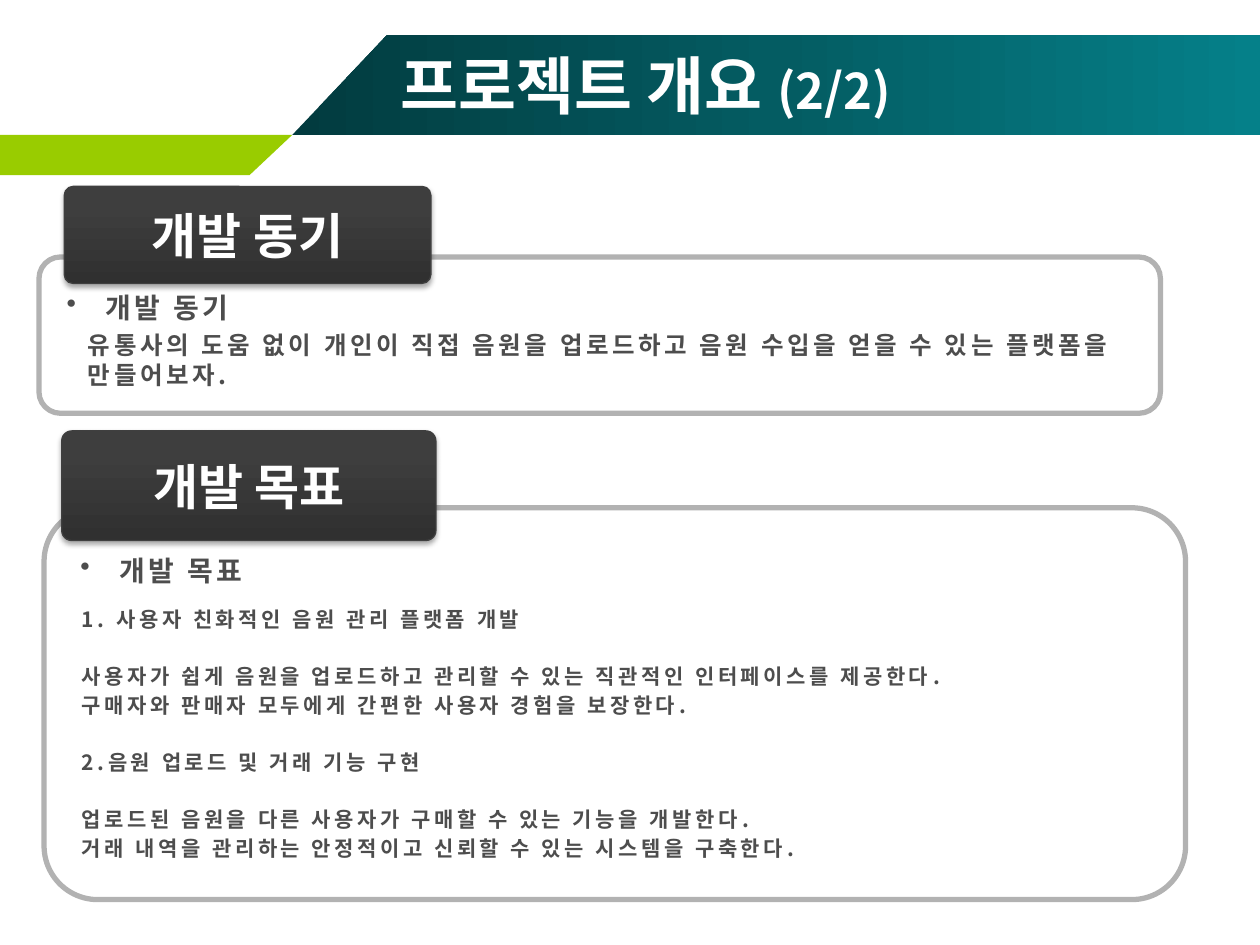
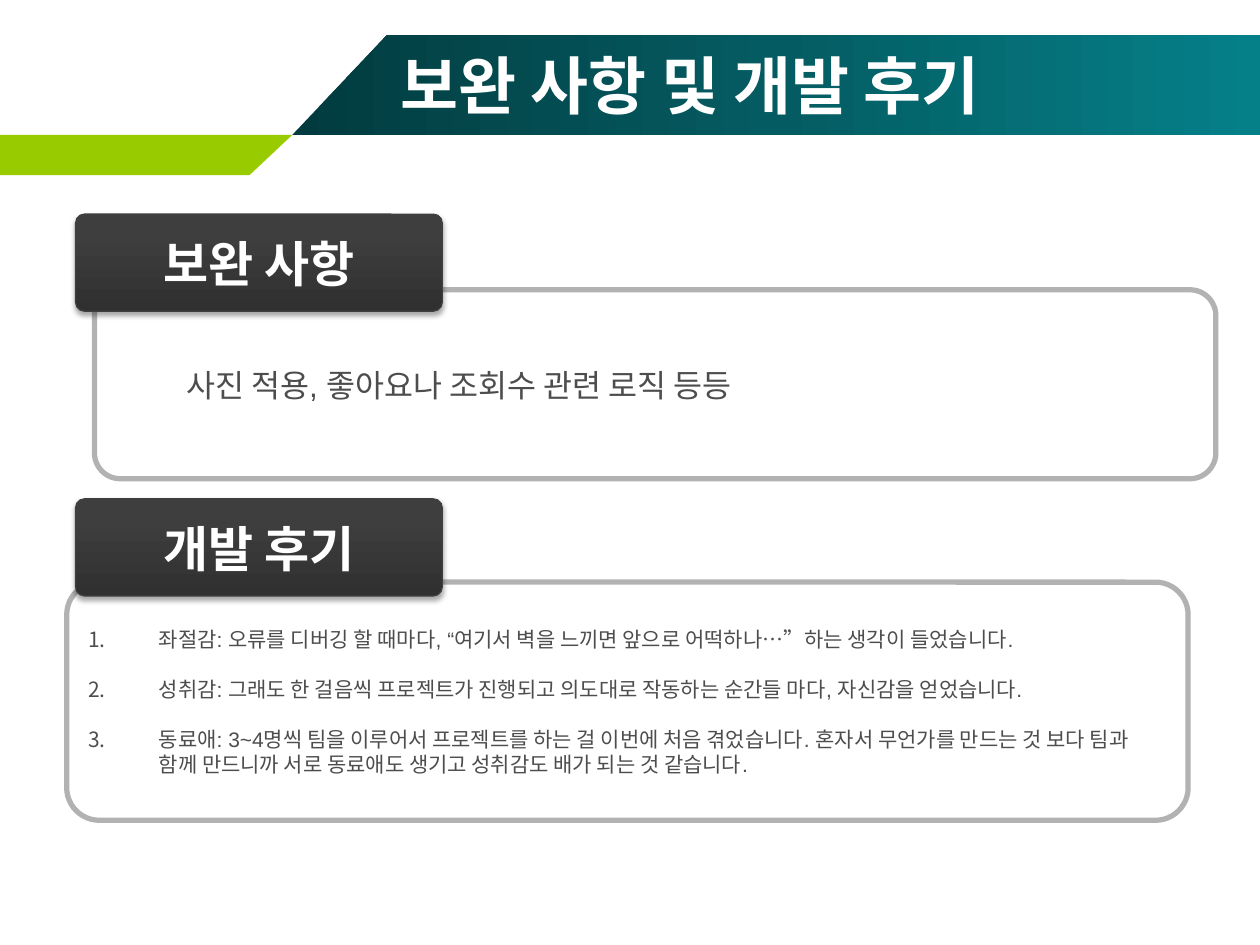
from dataclasses import dataclass
from typing import Any, NamedTuple

import pptx
import pptx.dml.color
import pptx.enum.shapes
import pptx.enum.text
import pptx.oxml
import pptx.oxml.ns
import pptx.util

Inches = pptx.util.Inches
Pt = pptx.util.Pt
qn = pptx.oxml.ns.qn
ANCHOR = pptx.enum.text.MSO_ANCHOR
ALIGN = pptx.enum.text.PP_ALIGN
NAMESPACE = pptx.oxml.ns.nsdecls("a")

COLORS = {
    "white": "FFFFFF", "text": "4D4D4D", "panel line": "B2B2B2", "green": "99CC00",
    "band dark": "023B3F", "band middle": "045C62", "band light": "058089",
    "badge dark": "303030", "badge light": "3E3E3E", "badge line": "3F3F3F", "shadow": "000000",
}
KOREAN_FONT = "Noto Sans CJK KR"
LINE_HEIGHT = 1.22


class Box(NamedTuple):
    left: float
    top: float
    width: float
    height: float

    def lengths(self) -> list[int]:
        return [Inches(value) for value in self]


class Piece(NamedTuple):
    text: str
    size: float


class Line(NamedTuple):
    text: str
    space_before: float = 0


@dataclass(frozen=True)
class TextStyle:
    size: float
    font: str = KOREAN_FONT
    color: str = "text"
    bold: bool = False
    tracking: float = 0
    space_after: float = 0
    indent: float = 0
    bullet: str = "<a:buNone {}/>"


@dataclass(frozen=True)
class Section:
    badge: Box
    panel: Box
    label: str


@dataclass(frozen=True)
class TextBlock:
    box: Box
    lines: list[Line]
    style: TextStyle


DOT = '<a:buChar {} char="•"/>'
NUMBER = '<a:buAutoNum {} type="arabicPeriod"/>'
TITLE = TextStyle(36, color="white", bold=True)
BADGE = TextStyle(28, color="white", bold=True)
HEADING = TextStyle(16, bold=True, tracking=2, indent=0.31, bullet=DOT)
MOTIVE = TextStyle(14, bold=True, tracking=2)
GOAL = TextStyle(12, bold=True, tracking=2, space_after=1.8)
REMARK = TextStyle(18, font="Arial")
REFLECTION = TextStyle(12, font="Arial", indent=0.56, bullet=NUMBER)
GOAL_GAP = 16.2
REFLECTION_GAP = 13.8


# Formatting helpers
def rgb(name: str) -> pptx.dml.color.RGBColor:
    return pptx.dml.color.RGBColor.from_string(COLORS[name])


def set_gradient(shape: Any, stops: list[tuple[int, str]], angle: int) -> None:
    shape.fill.gradient()
    properties = shape.element.spPr
    stop_xml = "".join(
        f'<a:gs pos="{position * 1000}"><a:srgbClr val="{COLORS[color]}"/></a:gs>'
        for position, color in stops
    )
    gradient = pptx.oxml.parse_xml(
        f'<a:gradFill {NAMESPACE} rotWithShape="1"><a:gsLst>{stop_xml}</a:gsLst>'
        f'<a:lin ang="{angle * 60000}" scaled="0"/></a:gradFill>'
    )
    properties.replace(properties.find(qn("a:gradFill")), gradient)


def add_run(paragraph: Any, piece: Piece, style: TextStyle) -> None:
    run = paragraph.add_run()
    run.text = piece.text
    run.font.size = Pt(piece.size)
    run.font.name = style.font
    run.font.bold = style.bold
    run.font.color.rgb = rgb(style.color)
    properties = run._r.get_or_add_rPr()
    if style.tracking:
        properties.set("spc", str(int(style.tracking * 100)))
    properties.append(pptx.oxml.parse_xml(f'<a:ea {NAMESPACE} typeface="{KOREAN_FONT}"/>'))


def write_lines(frame: Any, lines: list[Line], style: TextStyle) -> None:
    frame.word_wrap = True
    frame.auto_size = pptx.enum.text.MSO_AUTO_SIZE.NONE
    for number, line in enumerate(lines):
        paragraph = frame.add_paragraph() if number else frame.paragraphs[0]
        paragraph.alignment = ALIGN.LEFT
        paragraph.line_spacing = Pt(style.size * LINE_HEIGHT)
        paragraph.space_before = Pt(line.space_before)
        paragraph.space_after = Pt(style.space_after)
        properties = paragraph._p.get_or_add_pPr()
        properties.set("marL", str(Inches(style.indent)))
        properties.set("indent", str(-Inches(style.indent)))
        properties.append(pptx.oxml.parse_xml(style.bullet.format(NAMESPACE)))
        add_run(paragraph, Piece(line.text, style.size), style)


# Shared bands, kept on the layout
def add_band(slide: Any, layout: Any, points: list[tuple[float, float]]) -> Any:
    corners = [(Inches(x), Inches(y)) for x, y in points]
    builder = slide.shapes.build_freeform(*corners[0])
    builder.add_line_segments(corners[1:], close=True)
    band = builder.convert_to_shape()
    band.shadow.inherit = False
    band.line.fill.background()
    layout.shapes.element.append(band.element)
    return band


def add_layout_bands(slide: Any, layout: Any) -> None:
    title_band = add_band(slide, layout, [(2.32, 1.07), (10, 1.07), (10, 0.28), (3.07, 0.28)])
    set_gradient(title_band, [(0, "band dark"), (50, "band middle"), (100, "band light")], 0)
    green_band = add_band(slide, layout, [(0, 1.07), (2.32, 1.07), (1.98, 1.39), (0, 1.39)])
    green_band.fill.solid()
    green_band.fill.fore_color.rgb = rgb("green")


# Slide parts
def place(shape: Any, box: Box) -> None:
    shape.left, shape.top, shape.width, shape.height = box.lengths()


def add_title(slide: Any, pieces: list[Piece]) -> None:
    title = slide.shapes.title
    place(title, Box(3.08, 0.36, 6.67, 0.62))
    title.text_frame.vertical_anchor = ANCHOR.MIDDLE
    title.text_frame.auto_size = pptx.enum.text.MSO_AUTO_SIZE.NONE
    paragraph = title.text_frame.paragraphs[0]
    paragraph.alignment = ALIGN.LEFT
    for piece in pieces:
        add_run(paragraph, piece, TITLE)


def add_rounded(slide: Any, box: Box, radius: float, line: str, weight: float) -> Any:
    kind = pptx.enum.shapes.MSO_SHAPE.ROUNDED_RECTANGLE
    shape = slide.shapes.add_shape(kind, *box.lengths())
    shape.adjustments[0] = radius
    shape.shadow.inherit = False
    shape.line.color.rgb = rgb(line)
    shape.line.width = Pt(weight)
    return shape


def add_section(slide: Any, section: Section) -> None:
    panel = add_rounded(slide, section.panel, 0.137, "panel line", 3)
    panel.fill.solid()
    panel.fill.fore_color.rgb = rgb("white")
    panel_color = panel.element.spPr.find(qn("a:solidFill"))[0]
    panel_color.append(pptx.oxml.parse_xml(f'<a:alpha {NAMESPACE} val="31000"/>'))

    badge = add_rounded(slide, section.badge, 0.091, "badge line", 0.75)
    set_gradient(badge, [(0, "badge dark"), (80, "badge light"), (100, "badge light")], 270)
    badge.element.spPr.find(qn("a:effectLst")).append(pptx.oxml.parse_xml(
        f'<a:outerShdw {NAMESPACE} blurRad="{Pt(3.1)}" dist="{Pt(1.8)}" dir="5400000" '
        f'rotWithShape="0"><a:srgbClr val="{COLORS["shadow"]}"><a:alpha val="35000"/>'
        '</a:srgbClr></a:outerShdw>'
    ))
    frame = badge.text_frame
    frame.word_wrap = False
    frame.vertical_anchor = ANCHOR.MIDDLE
    frame.paragraphs[0].alignment = ALIGN.CENTER
    add_run(frame.paragraphs[0], Piece(section.label, BADGE.size), BADGE)


def add_text(slide: Any, block: TextBlock) -> None:
    text_box = slide.shapes.add_textbox(*block.box.lengths())
    write_lines(text_box.text_frame, block.lines, block.style)


def fill_body(slide: Any, block: TextBlock, anchor: Any) -> None:
    body = slide.placeholders[1]
    place(body, block.box)
    body.text_frame.vertical_anchor = anchor
    write_lines(body.text_frame, block.lines, block.style)
    slide.shapes.element.append(body.element)  # in front of its panel


# Slides
def build_overview(slide: Any) -> None:
    add_title(slide, [Piece("프로젝트 개요 ", 36), Piece("(2/2)", 28)])
    add_section(slide, Section(Box(0.49, 3.42, 2.97, 0.87), Box(0.35, 4.03, 9.06, 3.11), "개발 목표"))
    add_section(slide, Section(Box(0.51, 1.48, 2.91, 0.77), Box(0.31, 2.04, 8.9, 1.24), "개발 동기"))
    add_text(slide, TextBlock(Box(0.54, 4.34, 8.82, 0.37), [Line("개발 목표")], HEADING))
    add_text(slide, TextBlock(Box(0.43, 2.25, 8.66, 0.37), [Line("개발 동기")], HEADING))
    add_text(slide, TextBlock(Box(0.6, 2.57, 8.66, 0.57), [
        Line("유통사의 도움 없이 개인이 직접 음원을 업로드하고 음원 수입을 얻을 수 있는 플랫폼을 만들어보자."),
    ], MOTIVE))
    fill_body(slide, TextBlock(Box(0.55, 4.76, 8.66, 2.16), [
        Line("1. 사용자 친화적인 음원 관리 플랫폼 개발"),
        Line("사용자가 쉽게 음원을 업로드하고 관리할 수 있는 직관적인 인터페이스를 제공한다.", GOAL_GAP),
        Line("구매자와 판매자 모두에게 간편한 사용자 경험을 보장한다."),
        Line("2.음원 업로드 및 거래 기능 구현", GOAL_GAP),
        Line("업로드된 음원을 다른 사용자가 구매할 수 있는 기능을 개발한다.", GOAL_GAP),
        Line("거래 내역을 관리하는 안정적이고 신뢰할 수 있는 시스템을 구축한다."),
    ], GOAL), ANCHOR.TOP)


def build_review(slide: Any) -> None:
    add_title(slide, [Piece("보완 사항 및 개발 후기", 36)])
    add_section(slide, Section(Box(0.6, 3.96, 2.91, 0.77), Box(0.53, 4.62, 8.9, 1.89), "개발 후기"))
    add_section(slide, Section(Box(0.6, 1.7, 2.91, 0.77), Box(0.75, 2.3, 8.9, 1.5), "보완 사항"))
    add_text(slide, TextBlock(Box(1.38, 2.85, 4.96, 0.4), [
        Line("사진 적용, 좋아요나 조회수 관련 로직 등등"),
    ], REMARK))
    fill_body(slide, TextBlock(Box(0.6, 4.7, 8.76, 1.74), [
        Line("좌절감: 오류를 디버깅 할 때마다, “여기서 벽을 느끼면 앞으로 어떡하나…”하는 생각이 들었습니다."),
        Line("성취감: 그래도 한 걸음씩 프로젝트가 진행되고 의도대로 작동하는 순간들 마다, "
             "자신감을 얻었습니다.", REFLECTION_GAP),
        Line("동료애: 3~4명씩 팀을 이루어서 프로젝트를 하는 걸 이번에 처음 겪었습니다. "
             "혼자서 무언가를 만드는 것 보다 팀과 함께 만드니까 서로 동료애도 생기고 "
             "성취감도 배가 되는 것 같습니다.", REFLECTION_GAP),
    ], REFLECTION), ANCHOR.MIDDLE)


def main() -> None:
    presentation = pptx.Presentation()
    presentation.slide_width = Inches(10)
    presentation.slide_height = Inches(7.5)
    layout = presentation.slide_layouts[1]
    overview = presentation.slides.add_slide(layout)
    review = presentation.slides.add_slide(layout)
    add_layout_bands(overview, layout)
    build_overview(overview)
    build_review(review)
    presentation.save("out.pptx")


if __name__ == "__main__":
    main()
